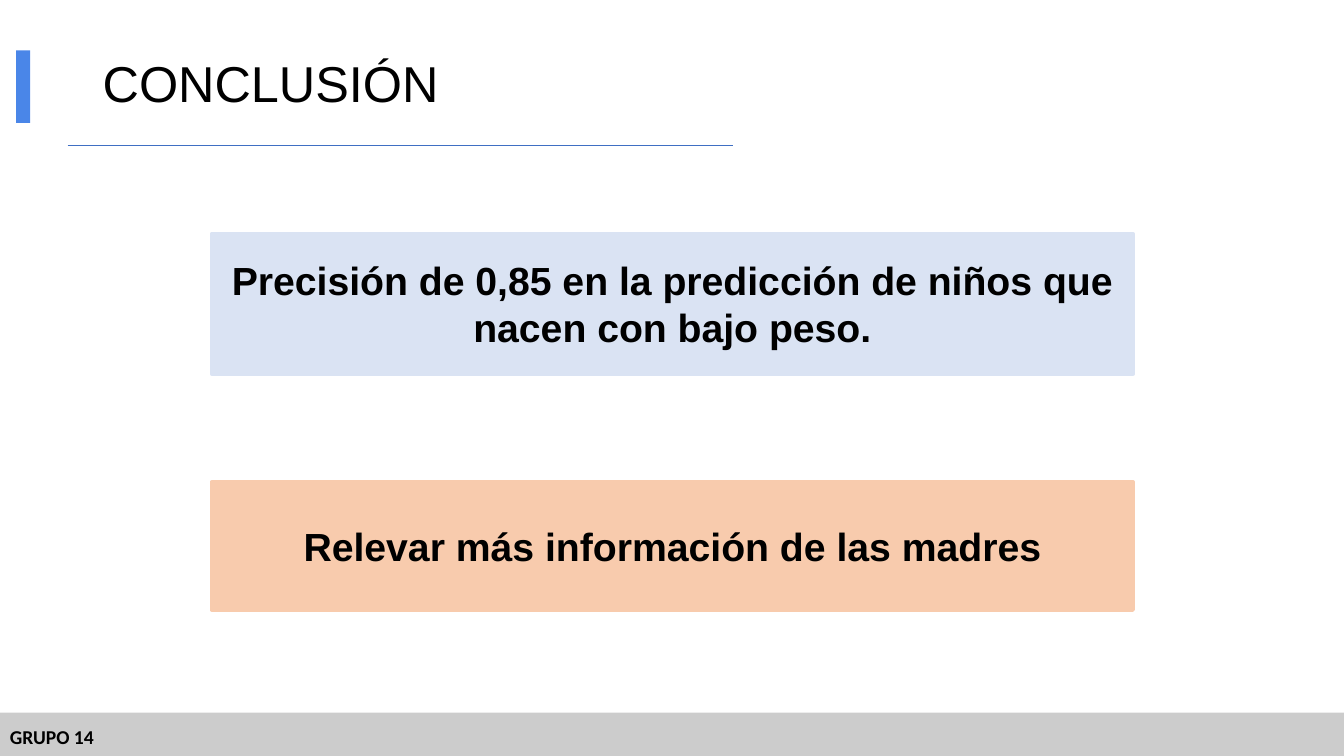
from dataclasses import dataclass
from typing import Optional

import pptx
import pptx.dml.color
import pptx.enum.shapes
import pptx.enum.text
import pptx.oxml.ns
import pptx.util
from lxml import etree

Pt = pptx.util.Pt
RGB = pptx.dml.color.RGBColor.from_string
ALIGN = pptx.enum.text.PP_ALIGN


@dataclass(frozen=True)
class Theme:
    """Colours, fonts and type sizes."""
    text: str = "000000"
    accent: str = "4A86E8"
    rule: str = "3F6FC3"
    footer: str = "CCCCCC"
    blue: str = "DAE3F3"
    orange: str = "F8CBAD"
    font: str = "Arial"
    footer_font: str = "Calibri"
    title_size: float = 36
    body_size: float = 28
    footer_size: float = 14


@dataclass(frozen=True)
class Box:
    """A filled rectangle, measured in points."""
    left: float
    top: float
    width: float
    height: float
    fill: str
    border: Optional[float] = None


@dataclass(frozen=True)
class Label:
    """A line of text and its format."""
    text: str
    size: float
    font: str
    bold: bool = True
    align: ALIGN = ALIGN.LEFT
    spacing: float = 1.0


THEME = Theme()
CARD_LEFT, CARD_WIDTH, CARD_BORDER = 151.2, 658, 3


def write(sp, label: Label) -> None:
    """Put a vertically centred label in a shape."""
    tf = sp.text_frame
    tf.text = label.text
    tf.word_wrap = True
    tf.vertical_anchor = pptx.enum.text.MSO_ANCHOR.MIDDLE
    p = tf.paragraphs[0]
    p.alignment = label.align
    p.line_spacing = label.spacing
    font = p.runs[0].font
    font.name, font.size, font.bold = label.font, Pt(label.size), label.bold
    font.color.rgb = RGB(THEME.text)


def add_box(s, box: Box, label: Optional[Label] = None) -> None:
    """Draw a rectangle, with a label if one is given."""
    sp = s.shapes.add_shape(
        pptx.enum.shapes.MSO_SHAPE.RECTANGLE,
        Pt(box.left), Pt(box.top), Pt(box.width), Pt(box.height))
    sp.shadow.inherit = False
    sp.fill.solid()
    sp.fill.fore_color.rgb = RGB(box.fill)
    if box.border is None:
        sp.line.fill.background()
    else:
        sp.line.color.rgb = RGB(box.fill)
        sp.line.width = Pt(box.border)
    if label:
        write(sp, label)


def add_title(s, label: Label) -> None:
    """Add the slide heading."""
    sp = s.shapes.add_textbox(Pt(66.24), Pt(9.4), Pt(828), Pt(104.4))
    write(sp, label)


def add_rule(s, left: float, right: float, y: float) -> None:
    """Draw the thin line under the heading."""
    line = s.shapes.add_connector(
        pptx.enum.shapes.MSO_CONNECTOR.STRAIGHT,
        Pt(left), Pt(y), Pt(right), Pt(y))
    line.line.color.rgb = RGB(THEME.rule)
    line.line.width = Pt(0.75)
    etree.SubElement(line._element.spPr, pptx.oxml.ns.qn("a:effectLst"))


def add_card(s, top: float, height: float, fill: str, text: str) -> None:
    """Draw one conclusion card."""
    add_box(s, Box(CARD_LEFT, top, CARD_WIDTH, height, fill, CARD_BORDER),
            Label(text, THEME.body_size, THEME.font, align=ALIGN.CENTER))


def main() -> None:
    """Build and save the slide."""
    prs = pptx.Presentation()
    prs.slide_width, prs.slide_height = Pt(960), Pt(540)
    s = prs.slides.add_slide(prs.slide_layouts[6])

    add_title(s, Label("CONCLUSIÓN", THEME.title_size, THEME.font,
                       bold=False, spacing=0.9))
    add_box(s, Box(0, 509, 960, 34, THEME.footer),
            Label("GRUPO 14", THEME.footer_size, THEME.footer_font))
    add_box(s, Box(11.5, 36, 10, 51.8, THEME.accent))
    add_rule(s, 48.3, 523.5, 103.7)
    add_card(s, 167, 100, THEME.blue,
             "Precisión de 0,85 en la predicción de niños que nacen con bajo peso.")
    add_card(s, 344.3, 91.3, THEME.orange,
             "Relevar más información de las madres")

    prs.save("out.pptx")


main()
